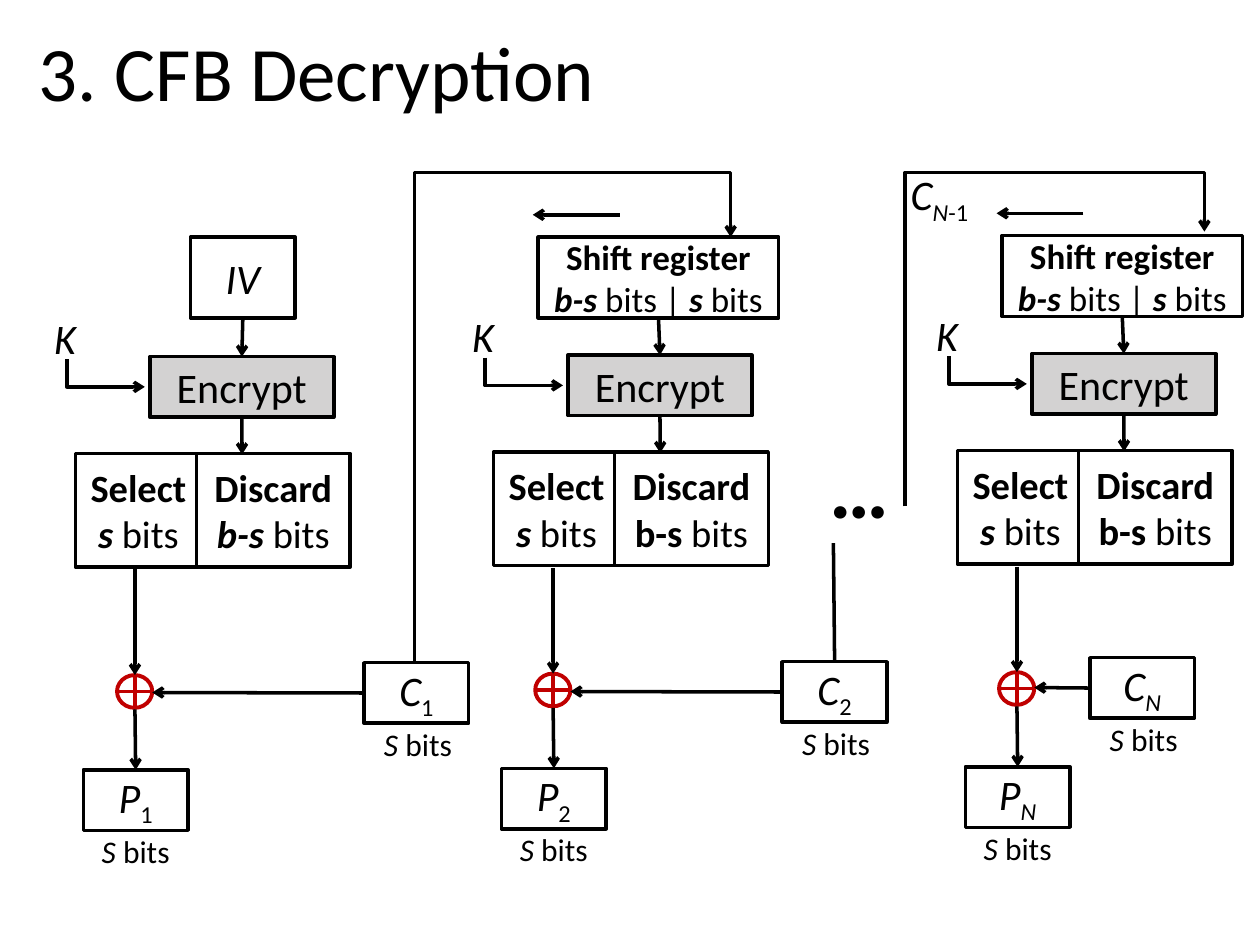
"""Build the CFB decryption diagram slide."""
from dataclasses import dataclass

from lxml.etree import SubElement
from pptx import Presentation
from pptx.dml.color import RGBColor
from pptx.enum.shapes import MSO_CONNECTOR as Connector, MSO_SHAPE as Shape
from pptx.enum.text import MSO_ANCHOR as Anchor, PP_ALIGN as Align
from pptx.oxml.ns import qn
from pptx.util import Cm, Pt


@dataclass(frozen=True)
class Theme:
    font: str = "Calibri"
    ink: RGBColor = RGBColor(0, 0, 0)
    paper: RGBColor = RGBColor(255, 255, 255)
    cipher: RGBColor = RGBColor(0xD3, 0xD2, 0xD2)
    xor: RGBColor = RGBColor(0xC0, 0, 0)
    title: int = 44
    dots: int = 48
    symbol: int = 24
    select: int = 22
    register: int = 20
    caption: int = 18
    stroke: float = 2
    xor_stroke: float = 2.25


theme = Theme()
formats = {
    "plain": {"bold": False, "italic": False},
    "bold": {"bold": True, "italic": False},
    "italic": {"bold": False, "italic": True},
    "strong": {"bold": True, "italic": True},
    "sub": {"bold": False, "italic": False},
    "italic sub": {"bold": False, "italic": True},
}

presentation = Presentation()
presentation.slide_width = Cm(25.4)
presentation.slide_height = Cm(19.05)
slide = presentation.slides.add_slide(presentation.slide_layouts[5])
shapes = slide.shapes


def add_block(left, top, width, height, runs=(), size=theme.symbol, fill=None,
              kind=Shape.RECTANGLE, line=theme.ink, stroke=theme.stroke):
    """Add a filled shape, or a plain text box when no fill is given."""
    place = Cm(left), Cm(top), Cm(width), Cm(height)
    if fill is None:
        shape = shapes.add_textbox(*place)
        shape.text_frame.word_wrap = False
    else:
        shape = shapes.add_shape(kind, *place)
        shape.shadow.inherit = False
        shape.fill.solid()
        shape.fill.fore_color.rgb = fill
        shape.line.color.rgb = line
        shape.line.width = Pt(stroke)
        shape.text_frame.vertical_anchor = Anchor.MIDDLE
    paragraph = shape.text_frame.paragraphs[0]
    paragraph.alignment = Align.LEFT if fill is None else Align.CENTER
    for text, style in runs:
        run = paragraph.add_run()
        run.text = text
        values = {"name": theme.font, "size": Pt(size), **formats[style]}
        for name, value in values.items():
            setattr(run.font, name, value)
        run.font.color.rgb = theme.ink
        if style.endswith("sub"):
            run._r.get_or_add_rPr().set("baseline", "-25000")
    return shape


def add_route(*points, head=True, begin=None, end=None):
    """Draw a straight connector or a bent open path through the points."""
    points = [(Cm(x), Cm(y)) for x, y in points]
    if len(points) == 2:
        route = shapes.add_connector(Connector.STRAIGHT, *points[0], *points[1])
        if begin:
            route.begin_connect(*begin)
        if end:
            route.end_connect(*end)
        SubElement(route._element.spPr, qn("a:effectLst"))
    else:
        builder = shapes.build_freeform(*points[0])
        builder.add_line_segments(points[1:], close=False)
        route = builder.convert_to_shape()
        route.shadow.inherit = False
        route.fill.background()
    route.line.color.rgb = theme.ink
    route.line.width = Pt(theme.stroke)
    if head:
        outline = route._element.spPr.find(qn("a:ln"))
        SubElement(outline, qn("a:tailEnd")).set("type", "arrow")


title = shapes.title
title_format = {"left": Cm(0.53), "top": Cm(0.3), "width": Cm(24.33), "height": Cm(2.24)}
for name, value in title_format.items():
    setattr(title, name, value)
title.text_frame.text = "3. CFB Decryption"
title.text_frame.vertical_anchor = Anchor.MIDDLE
heading = title.text_frame.paragraphs[0]
heading.alignment = Align.LEFT
for name, value in {"name": theme.font, "size": Pt(theme.title)}.items():
    setattr(heading.font, name, value)
heading.font.color.rgb = theme.ink

bits = [("S ", "italic"), ("bits", "plain")]
register_runs = [("Shift register ", "bold"), ("b-s", "strong"), (" bits | ", "plain"),
                 ("s", "strong"), (" bits", "plain")]
select_runs = [("Select ", "bold"), ("s", "strong"), (" bits", "plain")]

stages = [
    (0, 0, "1", "sub", 7.34, 13.36),
    (8.43, -0.03, "2", "sub", 15.77, 13.34),
    (17.78, -0.06, "N", "italic sub", 21.97, 13.26),
]
for x, y, index, index_style, c_left, c_top in stages:
    first = x == 0
    if first:
        source = add_block(3.84, 4.78, 2.11, 1.63, [("IV", "italic")], fill=theme.paper)
    else:
        source = add_block(x + 2.42, y + 4.81, 4.85, 1.63, register_runs,
                           theme.register, theme.paper)
        add_route((x + 4.06, y + 4.36), (x + 2.31, y + 4.36))
    encrypt = add_block(x + 3.02, y + 7.19, 3.71, 1.22, [("Encrypt", "plain")],
                        fill=theme.cipher)
    add_route((x + 4.88, y + 6.4), (x + 4.88, y + 7.19), begin=(source, 2), end=(encrypt, 0))
    add_route((x + 1.35, y + 7.24), (x + 1.35, y + 7.8), (x + 2.92, y + 7.8))
    add_block(x + 0.84, y + 6.17, 0.99, 1.27, [("K", "italic")])

    discard_runs = [("Discard ", "bold"), ("b-s", "strong" if first else "bold"),
                    (" bits", "plain")]
    add_block(x + 1.52, y + 9.14, 2.54, 2.29, select_runs, theme.select, theme.paper)
    add_block(x + 3.96, y + 9.14, 3.1, 2.29, discard_runs, theme.select, theme.paper)
    add_route((x + 4.88, y + 8.41), (x + 4.88, y + 9.16), begin=(encrypt, 2))

    add_block(x + 2.36, y + 13.61, 0.71, 0.66, fill=theme.paper, kind=Shape.FLOWCHART_OR,
              line=theme.xor, stroke=theme.xor_stroke)
    add_route((x + 2.72, y + 11.48), (x + 2.72, y + 13.61))
    plaintext = add_block(x + 1.68, y + 15.52, 2.11, 1.22,
                          [("P", "italic"), (index, index_style)], fill=theme.paper)
    add_route((x + 2.72, y + 14.3), (x + 2.72, y + 15.52), end=(plaintext, 0))
    add_block(x + 1.8, y + 16.64, 1.9, 1.02, bits, theme.caption)

    ciphertext = add_block(c_left, c_top, 2.11, 1.22,
                           [("C", "italic"), (index, index_style)], fill=theme.paper)
    add_block(c_left + 0.15, c_top + 1.13, 1.9, 1.02, bits, theme.caption)
    add_route((c_left, c_top + 0.61), (x + 3.07, c_top + 0.6), begin=(ciphertext, 1))
    if index == "2":
        add_route((16.82, 13.34), (16.8, 10.95), head=False, begin=(ciphertext, 0))

add_route((8.36, 13.34), (8.36, 3.48), (14.73, 3.48), (14.73, 4.78))
add_route((18.24, 10.21), (18.24, 3.48), (24.28, 3.48), (24.28, 4.67))
add_block(18.11, 3.28, 1.8, 1.27, [("C", "italic"), ("N", "italic sub"), ("-1", "sub")])
add_block(16.48, 8.64, 1.8, 2.31, [("…", "bold")], theme.dots)

presentation.save("out.pptx")
